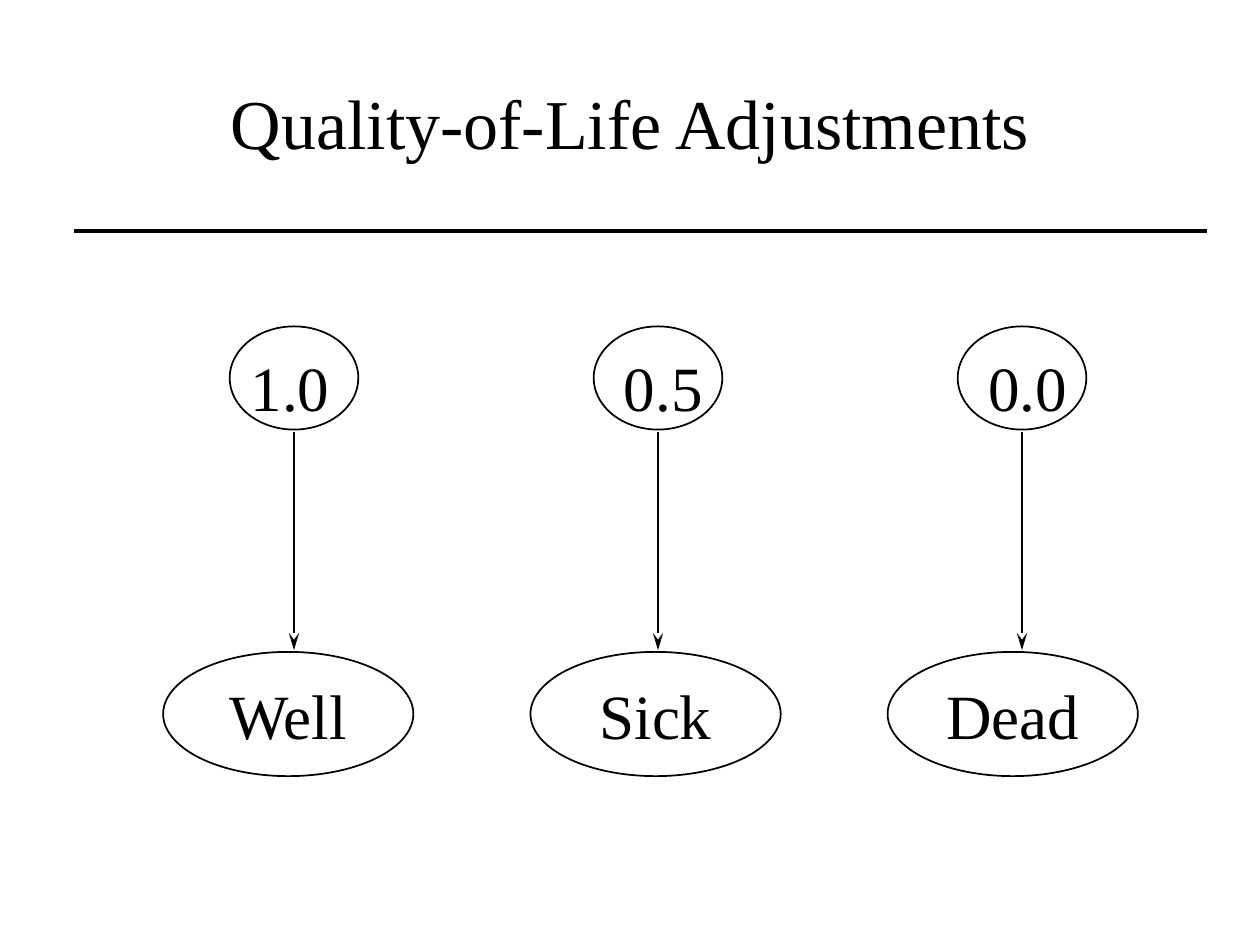
from dataclasses import dataclass

import pptx
import pptx.dml.color
import pptx.enum.shapes
import pptx.enum.text
import pptx.oxml.ns
import pptx.slide
import pptx.text.text
import pptx.util
from lxml import etree

Pt = pptx.util.Pt
Align = pptx.enum.text.PP_ALIGN
Anchor = pptx.enum.text.MSO_ANCHOR
AutoSize = pptx.enum.text.MSO_AUTO_SIZE

BLACK = pptx.dml.color.RGBColor(0, 0, 0)
FONT = "Times New Roman"
TITLE_SIZE, LABEL_SIZE = 40, 36

# Column and row layout, in points
FIRST_CENTER, COLUMN_PITCH = 168, 208
WEIGHT_TOP, WEIGHT_WIDTH, WEIGHT_HEIGHT = 186.5, 73.5, 59
LABEL_TOP, LABEL_WIDTH, LABEL_HEIGHT = 195.8, 60, 50.4
ARROW_TOP, ARROW_BOTTOM = 247, 371.5
STATE_TOP, STATE_WIDTH, STATE_HEIGHT = 372.5, 143, 71


@dataclass
class HealthState:
    name: str
    weight: str
    state_left: float
    label_left: float


HEALTH_STATES = [
    HealthState("Well", "1.0", 93.2, 136.1),
    HealthState("Sick", "0.5", 303.1, 349.4),
    HealthState("Dead", "0.0", 507.2, 557.5),
]


def write(frame: pptx.text.text.TextFrame, text: str, size: float,
          align: Align, anchor: Anchor) -> None:
    frame.vertical_anchor = anchor
    paragraph = frame.paragraphs[0]
    paragraph.alignment = align
    run = paragraph.add_run()
    run.text = text
    run.font.name = FONT
    run.font.size = Pt(size)
    run.font.color.rgb = BLACK


def add_ellipse(slide: pptx.slide.Slide, left: float, top: float,
                width: float, height: float, text: str = "") -> None:
    ellipse = slide.shapes.add_shape(
        pptx.enum.shapes.MSO_SHAPE.OVAL, Pt(left), Pt(top), Pt(width), Pt(height))
    ellipse.shadow.inherit = False
    ellipse.fill.background()
    ellipse.line.color.rgb = BLACK
    ellipse.line.width = Pt(1)
    if text:
        ellipse.text_frame.word_wrap = False
        write(ellipse.text_frame, text, LABEL_SIZE, Align.CENTER, Anchor.MIDDLE)


def add_line(slide: pptx.slide.Slide, x1: float, y1: float, x2: float, y2: float,
             width: float, arrow: bool = False) -> None:
    line = slide.shapes.add_connector(
        pptx.enum.shapes.MSO_CONNECTOR.STRAIGHT, Pt(x1), Pt(y1), Pt(x2), Pt(y2))
    line.line.color.rgb = BLACK
    line.line.width = Pt(width)
    if arrow:
        outline = line.line._get_or_add_ln()
        etree.SubElement(outline, pptx.oxml.ns.qn("a:tailEnd"),
                         type="stealth", w="med", len="lg")
    etree.SubElement(line._element.spPr, pptx.oxml.ns.qn("a:effectLst"))


def add_weight_label(slide: pptx.slide.Slide, left: float, text: str) -> None:
    label = slide.shapes.add_textbox(
        Pt(left), Pt(LABEL_TOP), Pt(LABEL_WIDTH), Pt(LABEL_HEIGHT))
    label.text_frame.word_wrap = False
    label.text_frame.auto_size = AutoSize.SHAPE_TO_FIT_TEXT
    write(label.text_frame, text, LABEL_SIZE, Align.LEFT, Anchor.TOP)


def add_health_state(slide: pptx.slide.Slide, state: HealthState, center: float) -> None:
    add_ellipse(slide, state.state_left, STATE_TOP, STATE_WIDTH, STATE_HEIGHT, state.name)
    add_ellipse(slide, center - WEIGHT_WIDTH / 2, WEIGHT_TOP, WEIGHT_WIDTH, WEIGHT_HEIGHT)
    add_weight_label(slide, state.label_left, state.weight)
    add_line(slide, center, ARROW_TOP, center, ARROW_BOTTOM, 1, arrow=True)


def main() -> None:
    deck = pptx.Presentation()
    deck.slide_width, deck.slide_height = Pt(720), Pt(540)
    slide = deck.slides.add_slide(deck.slide_layouts.get_by_name("Title Only"))

    # Title and rule
    title = slide.shapes.title
    title.left, title.top, title.width, title.height = Pt(54), Pt(42), Pt(612), Pt(54.7)
    title.text_frame.word_wrap = True
    title.text_frame.auto_size = AutoSize.SHAPE_TO_FIT_TEXT
    write(title.text_frame, "Quality-of-Life Adjustments", TITLE_SIZE,
          Align.CENTER, Anchor.TOP)
    add_line(slide, 42.5, 132, 689.5, 132, 2)

    # Quality weights pointing to health states
    for column, state in enumerate(HEALTH_STATES):
        add_health_state(slide, state, FIRST_CENTER + column * COLUMN_PITCH)

    deck.save("out.pptx")


if __name__ == "__main__":
    main()
